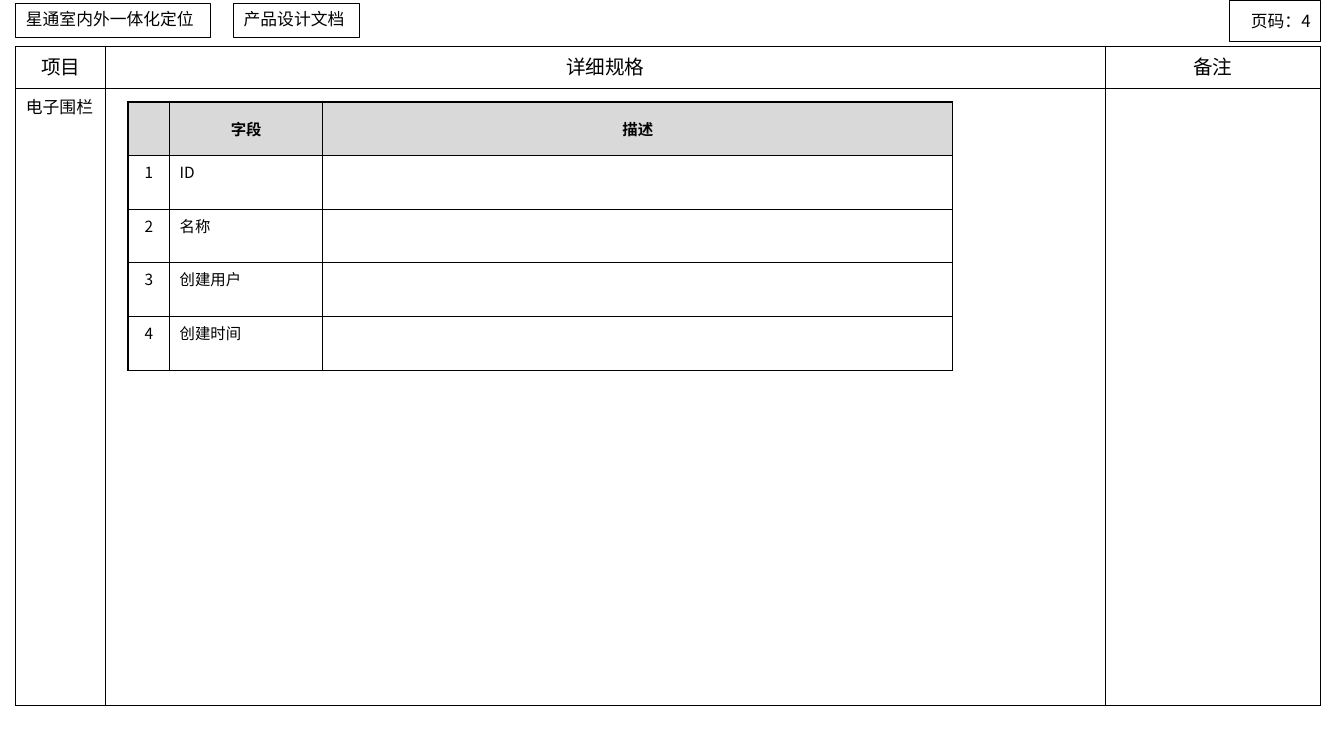
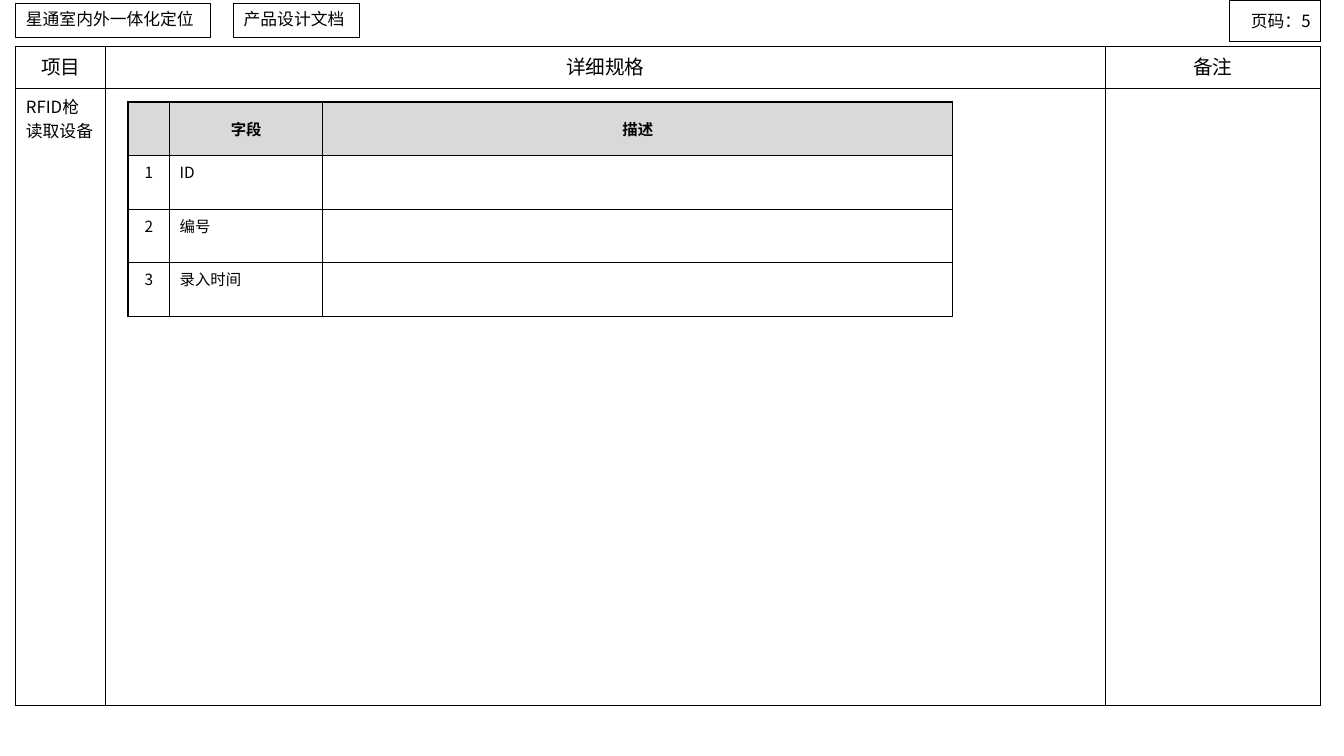
"""Build the field specification pages of the positioning product document."""
from lxml.etree import SubElement
from pptx import Presentation
from pptx.dml.color import RGBColor
from pptx.enum.shapes import MSO_SHAPE
from pptx.enum.text import MSO_ANCHOR, MSO_AUTO_SIZE, PP_ALIGN
from pptx.oxml.ns import qn
from pptx.util import Pt

BLACK = RGBColor(0, 0, 0)
WHITE = RGBColor(255, 255, 255)
HEADER_GREY = RGBColor(0xD9, 0xD9, 0xD9)
FONT = "Noto Sans CJK SC"
THIN, THICK = 0.75, 1.5

PROJECT = "星通室内外一体化定位"
DOCUMENT = "产品设计文档"
FRAME_HEADINGS = ["项目", "详细规格", "备注"]
FRAME_COLUMNS = [64.2, 713.8, 154]
FRAME_ROWS = [30.2, 440.6]
FIELD_HEADINGS = ["", "字段", "描述"]
FIELD_COLUMNS = [29.6, 109.6, 450]
FIELD_ROW = 38.3
PAGES = [
    (4, "电子围栏", ["ID", "名称", "创建用户", "创建时间"]),
    (5, "RFID枪读取设备", ["ID", "编号", "录入时间"]),
]


def write(frame, text, size, align=PP_ALIGN.LEFT, bold=False):
    paragraph = frame.paragraphs[0]
    paragraph.alignment = align
    run = paragraph.add_run()
    run.text = text
    run.font.size = Pt(size)
    run.font.bold = bold
    run.font.color.rgb = BLACK
    run.font.name = FONT
    SubElement(run.font._element, qn("a:ea"), typeface=FONT)


def add_grid(slide, left, top, widths, heights, outer, header_fill):
    grid = slide.shapes.add_table(len(heights), len(widths), Pt(left), Pt(top),
                                  Pt(sum(widths)), Pt(sum(heights))).table
    grid.first_row = grid.horz_banding = False
    for column, width in zip(grid.columns, widths):
        column.width = Pt(width)
    for row, height in zip(grid.rows, heights):
        row.height = Pt(height)
    for r in range(len(heights)):
        for c in range(len(widths)):
            cell = grid.cell(r, c)
            borders = {"L": THIN if c else outer, "R": THIN,
                       "T": THIN if r else outer, "B": THIN}
            properties = cell._tc.get_or_add_tcPr()
            for side, weight in borders.items():
                border = SubElement(properties, qn(f"a:ln{side}"), w=str(Pt(weight)))
                SubElement(SubElement(border, qn("a:solidFill")),
                           qn("a:srgbClr"), val=str(BLACK))
            cell.fill.solid()
            cell.fill.fore_color.rgb = WHITE if r else header_fill
    return grid


deck = Presentation()
deck.slide_width, deck.slide_height = Pt(960), Pt(540)

for page, item, fields in PAGES:
    slide = deck.slides.add_slide(deck.slide_layouts[5])

    frame = add_grid(slide, 11.3, 33.2, FRAME_COLUMNS, FRAME_ROWS, THIN, WHITE)
    for c, heading in enumerate(FRAME_HEADINGS):
        write(frame.cell(0, c).text_frame, heading, 14, PP_ALIGN.CENTER)
    write(frame.cell(1, 0).text_frame, item, 12)

    labels = [
        (slide.shapes.title, PROJECT, 11.3, 2.6, 139, 24.4, MSO_ANCHOR.TOP, PP_ALIGN.LEFT),
        (None, DOCUMENT, 167, 2.6, 90, 24.4, MSO_ANCHOR.TOP, PP_ALIGN.LEFT),
        (None, f"页码：{page}", 878.3, 0.7, 65, 28.8, MSO_ANCHOR.MIDDLE, PP_ALIGN.RIGHT),
    ]
    for title, text, left, top, width, height, anchor, align in labels:
        position = Pt(left), Pt(top), Pt(width), Pt(height)
        label = title or slide.shapes.add_shape(MSO_SHAPE.RECTANGLE, *position)
        label.left, label.top, label.width, label.height = position
        label.fill.background()
        label.line.color.rgb = BLACK
        label.line.width = Pt(THIN)
        if not title:
            label.shadow.inherit = False
        label.text_frame.word_wrap = True
        label.text_frame.auto_size = MSO_AUTO_SIZE.NONE
        label.text_frame.vertical_anchor = anchor
        write(label.text_frame, text, 12, align)

    heights = [FIELD_ROW] * (len(fields) + 1)
    listing = add_grid(slide, 91.5, 72.8, FIELD_COLUMNS, heights, THICK, HEADER_GREY)
    for c, heading in enumerate(FIELD_HEADINGS):
        if heading:
            cell = listing.cell(0, c)
            cell.vertical_anchor = MSO_ANCHOR.MIDDLE
            write(cell.text_frame, heading, 11, PP_ALIGN.CENTER, True)
    for number, field in enumerate(fields, 1):
        write(listing.cell(number, 0).text_frame, str(number), 11, PP_ALIGN.CENTER)
        write(listing.cell(number, 1).text_frame, field, 11)

deck.save("out.pptx")
